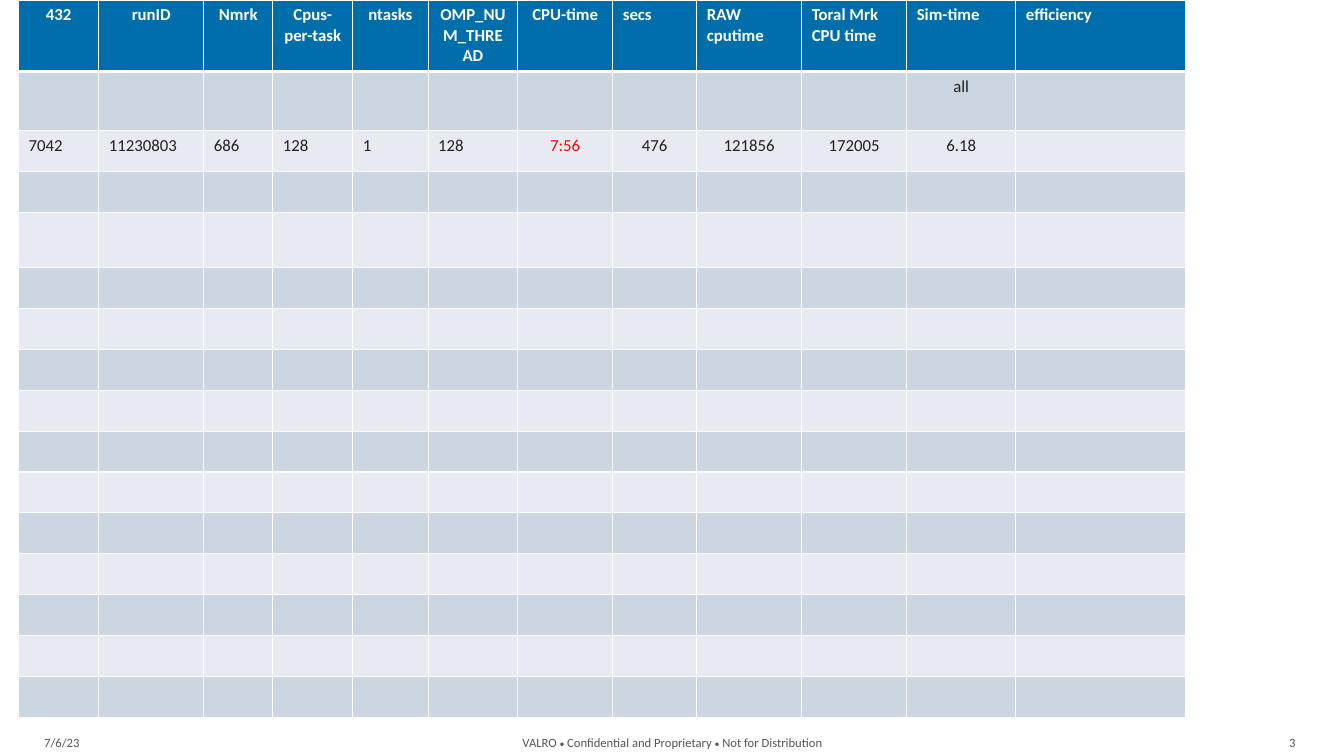
"""Build the CPU timing table slide."""
from dataclasses import dataclass

import pptx
import pptx.dml.color
import pptx.enum.text
import pptx.oxml
import pptx.oxml.ns
import pptx.util
from pptx.util import Pt

FONT = "Calibri"
WHITE, BODY, RED, GREY = "FFFFFF", "231F20", "FF0000", "555556"
HEADER_FILL, BANDS = "006EAB", ("CCD5E2", "E7EBF1")
ALIGN = pptx.enum.text.PP_ALIGN
MIDDLE = pptx.enum.text.MSO_ANCHOR.MIDDLE

COLUMN_WIDTHS = (57.4, 75, 49.3, 57.1, 53.9, 64, 67.9, 60, 75, 75, 78, 121)
ROW_COUNT = 16
ROW_HEIGHT = 29.2
TALL_ROWS = {0: 51, 1: 42.2, 4: 39.6}
TABLE_LEFT = 13.2

HEADINGS = ("432", "runID", "Nmrk", "Cpus-per-task", "ntasks", "OMP_NUM_THREAD",
            "CPU-time", "secs", "RAW cputime", "Toral Mrk CPU time", "Sim-time",
            "efficiency")
RUN_VALUES = ("7042", "11230803", "686", "128", "1", "128", "7:56", "476",
              "121856", "172005", "6.18")
CPU_TIME, SIM_TIME = HEADINGS.index("CPU-time"), HEADINGS.index("Sim-time")


@dataclass
class Entry:
    """Text of one table cell and its look."""
    row: int
    column: int
    text: str
    align: ALIGN
    color: str = BODY
    bold: bool = False


@dataclass
class Footer:
    """One part of the footer line, as (text, size) runs."""
    left: float
    width: float
    align: ALIGN
    runs: tuple[tuple[str, float], ...]


HEADER_ENTRIES = [
    Entry(0, column, text, ALIGN.CENTER if column <= CPU_TIME else ALIGN.LEFT,
          WHITE, True)
    for column, text in enumerate(HEADINGS)]
RUN_ENTRIES = [
    Entry(2, column, text, ALIGN.CENTER if column >= CPU_TIME else ALIGN.LEFT,
          RED if column == CPU_TIME else BODY)
    for column, text in enumerate(RUN_VALUES)]
ENTRIES = [*HEADER_ENTRIES, Entry(1, SIM_TIME, "all", ALIGN.CENTER), *RUN_ENTRIES]

DOT = ("•", 7)
FOOTERS = (
    Footer(24.5, 339.8, ALIGN.LEFT, (("7/6/23", 9),)),
    Footer(794.9, 137.5, ALIGN.RIGHT, (("3", 9),)),
    Footer(310.3, 339.8, ALIGN.CENTER,
           (("VALRO ", 9), DOT, (" Confidential and Proprietary ", 9), DOT,
            (" Not for Distribution", 9))),
)


def rgb(color: str) -> pptx.dml.color.RGBColor:
    """Turn a hex string into a colour."""
    return pptx.dml.color.RGBColor.from_string(color)


def format_run(run, size: float, color: str, bold: bool = False) -> None:
    """Set the font of one run."""
    run.font.name = FONT
    run.font.size = Pt(size)
    run.font.bold = bold
    run.font.color.rgb = rgb(color)


def add_border(cell, side: str, width: float) -> None:
    """Add a white border to one side (L, R, T or B) of a cell."""
    line = pptx.oxml.parse_xml(
        f'<a:ln{side} {pptx.oxml.ns.nsdecls("a")} w="{Pt(width)}"><a:solidFill>'
        f'<a:srgbClr val="{WHITE}"/></a:solidFill></a:ln{side}>')
    cell._tc.get_or_add_tcPr().append(line)


def style_cell(cell, row: int) -> None:
    """Give a cell its borders and its header or band fill."""
    for side in "LRTB":
        under_header = (row, side) in ((0, "B"), (1, "T"))
        add_border(cell, side, 3 if under_header else 1)
    cell.fill.solid()
    cell.fill.fore_color.rgb = rgb(HEADER_FILL if row == 0 else BANDS[(row - 1) % 2])


def fill_entry(table, entry: Entry) -> None:
    """Write one entry into its cell."""
    paragraph = table.cell(entry.row, entry.column).text_frame.paragraphs[0]
    paragraph.text = entry.text
    paragraph.alignment = entry.align
    format_run(paragraph.runs[0], 12, entry.color, entry.bold)


def add_timing_table(slide) -> None:
    """Add the banded timing table."""
    heights = [TALL_ROWS.get(row, ROW_HEIGHT) for row in range(ROW_COUNT)]
    table = slide.shapes.add_table(
        ROW_COUNT, len(COLUMN_WIDTHS), Pt(TABLE_LEFT), Pt(0),
        Pt(sum(COLUMN_WIDTHS)), Pt(sum(heights))).table
    for column, width in zip(table.columns, COLUMN_WIDTHS):
        column.width = Pt(width)
    for index, (row, height) in enumerate(zip(table.rows, heights)):
        row.height = Pt(height)
        for cell in row.cells:
            style_cell(cell, index)
    for entry in ENTRIES:
        fill_entry(table, entry)


def add_footer(slide, footer: Footer) -> None:
    """Add one part of the footer line."""
    shape = slide.shapes.add_textbox(Pt(footer.left), Pt(519.8), Pt(footer.width), Pt(20.9))
    frame = shape.text_frame
    frame.word_wrap = True
    frame.vertical_anchor = MIDDLE
    frame.margin_top = frame.margin_bottom = Pt(0)
    paragraph = frame.paragraphs[0]
    paragraph.alignment = footer.align
    for text, size in footer.runs:
        run = paragraph.add_run()
        run.text = text
        format_run(run, size, GREY)


def main() -> None:
    """Build and save the presentation."""
    presentation = pptx.Presentation()
    presentation.slide_width, presentation.slide_height = Pt(960), Pt(540)
    slide = presentation.slides.add_slide(presentation.slide_layouts[6])
    for footer in FOOTERS:
        add_footer(slide, footer)
    add_timing_table(slide)
    presentation.save("out.pptx")


main()
